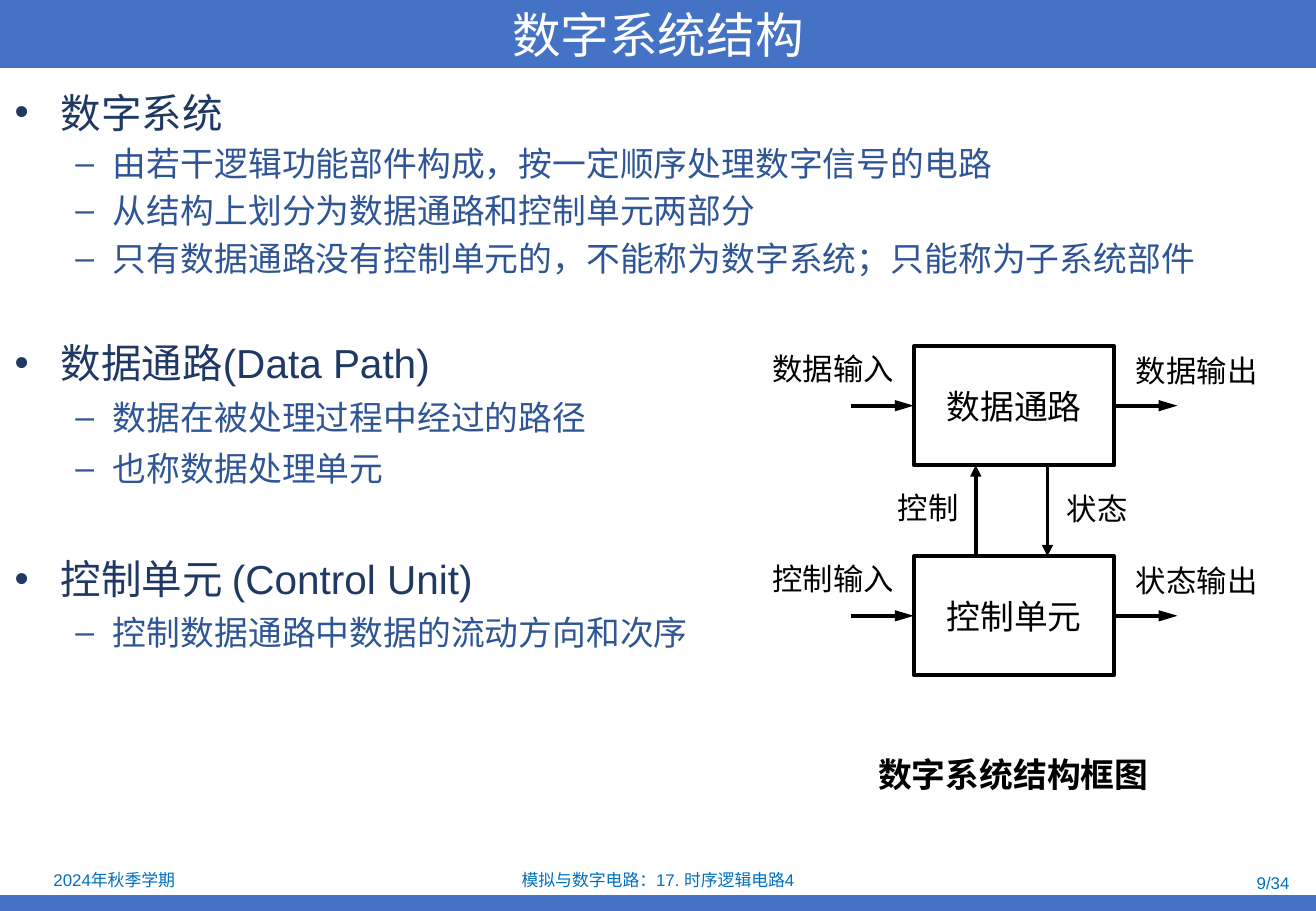
from lxml import etree
from pptx import Presentation
from pptx.dml.color import RGBColor
from pptx.enum.shapes import MSO_CONNECTOR, MSO_SHAPE
from pptx.enum.text import MSO_ANCHOR, MSO_AUTO_SIZE, PP_ALIGN
from pptx.oxml.ns import qn
from pptx.util import Inches, Pt

LEFT, CENTER, RIGHT = PP_ALIGN.LEFT, PP_ALIGN.CENTER, PP_ALIGN.RIGHT
TOP, MIDDLE = MSO_ANCHOR.TOP, MSO_ANCHOR.MIDDLE
STRAIGHT, RECTANGLE = MSO_CONNECTOR.STRAIGHT, MSO_SHAPE.RECTANGLE
NO_AUTOFIT = MSO_AUTO_SIZE.NONE

COLORS = {"bar": "4472C4", "title": "FFFFFF", "topic": "203864",
          "point": "2F5597", "footer": "0070C0", "ink": "000000"}
SANS, SERIF, CJK = "Arial", "Times New Roman", "Noto Sans CJK SC"
SLIDE_W, SLIDE_H = 10.83, 7.5

# Each topic: heading, space before it, space before its points, points
TOPICS = [
    ("数字系统", 0, 4, ["由若干逻辑功能部件构成，按一定顺序处理数字信号的电路",
                    "从结构上划分为数据通路和控制单元两部分",
                    "只有数据通路没有控制单元的，不能称为数字系统；只能称为子系统部件"]),
    ("数据通路(Data Path)", 33.5, 6, ["数据在被处理过程中经过的路径", "也称数据处理单元"]),
    ("控制单元 (Control Unit)", 37, 5.5, ["控制数据通路中数据的流动方向和次序"]),
]
# Per level: size, line height, colour, left margin, hanging indent, bullet
LEVELS = [(24, 31, "topic", 0.38, 0.38, "•"), (20, 24, "point", 0.81, 0.31, "–")]


def rgb(name):
    return RGBColor.from_string(COLORS[name])


def inches(*values):
    return [Inches(value) for value in values]


def write(paragraph, text, size=18, color="ink", font=SERIF, bold=False, align=LEFT):
    paragraph.alignment = align
    run = paragraph.add_run()
    run.text = text
    run.font.name, run.font.size, run.font.bold = font, Pt(size), bold
    run.font.color.rgb = rgb(color)
    etree.SubElement(run._r.get_or_add_rPr(), qn("a:ea")).set("typeface", CJK)


def set_frame(frame, anchor=TOP, wrap=True, inset=None):
    frame.auto_size, frame.word_wrap = NO_AUTOFIT, wrap
    frame.vertical_anchor = anchor
    if inset is not None:
        frame.margin_left = frame.margin_right = Inches(inset)
        frame.margin_top = frame.margin_bottom = Inches(inset)


def place(part, box):
    part.left, part.top, part.width, part.height = inches(*box)


def add_label(slide, box, text, anchor=TOP, wrap=False, **style):
    frame = slide.shapes.add_textbox(*inches(*box)).text_frame
    set_frame(frame, anchor, wrap)
    write(frame.paragraphs[0], text, **style)


def add_title(slide, box):
    title = slide.shapes.title
    place(title, box)
    title.fill.solid()
    title.fill.fore_color.rgb = rgb("bar")
    set_frame(title.text_frame, MIDDLE, inset=0)
    write(title.text_frame.paragraphs[0], "数字系统结构", size=28.8,
          color="title", font=CJK, align=CENTER)


def add_item(paragraph, text, level, before):
    size, height, color, margin, hanging, bullet = LEVELS[level]
    paragraph.level = level
    paragraph.space_before, paragraph.space_after = Pt(before), Pt(0)
    paragraph.line_spacing = Pt(height)
    props = paragraph._p.get_or_add_pPr()
    props.set("marL", str(Inches(margin)))
    props.set("indent", str(-Inches(hanging)))
    etree.SubElement(props, qn("a:buFont")).set("typeface", SANS)
    etree.SubElement(props, qn("a:buChar")).set("char", bullet)
    write(paragraph, text, size=size, color=color, font=SANS)


def add_outline(slide, box):
    body = slide.placeholders[1]
    place(body, box)
    frame = body.text_frame
    set_frame(frame)
    items = []
    for heading, heading_gap, point_gap, points in TOPICS:
        items.append((heading, 0, heading_gap))
        items += [(point, 1, point_gap) for point in points]
    for index, item in enumerate(items):
        paragraph = frame.add_paragraph() if index else frame.paragraphs[0]
        add_item(paragraph, *item)


def add_footer(slide, box):
    left, top, width, height = box
    bar = slide.shapes.add_shape(RECTANGLE, *inches(left, top + 0.24, width, height - 0.24))
    bar.shadow.inherit = False
    bar.fill.solid()
    bar.fill.fore_color.rgb = rgb("bar")
    bar.line.fill.background()
    for x, y, w, text, align in [
            (0.02, 0.01, 1.84, "2024年秋季学期", CENTER),
            (3.7, 0.01, 3.43, "模拟与数字电路：17. 时序逻辑电路4", CENTER),
            (8.18, 0.03, 2.53, "9/34", RIGHT)]:
        add_label(slide, (left + x, top + y, w, 0.21), text, MIDDLE, True,
                  size=10, color="footer", font=SANS, align=align)


def add_arrow(slide, start, end, head_length="med"):
    arrow = slide.shapes.add_connector(STRAIGHT, *inches(*start, *end))
    arrow.line.color.rgb, arrow.line.width = rgb("ink"), Pt(2.25)
    head = etree.SubElement(arrow.line._get_or_add_ln(), qn("a:tailEnd"))
    for key, value in (("type", "triangle"), ("w", "med"), ("len", head_length)):
        head.set(key, value)
    etree.SubElement(arrow._element.spPr, qn("a:effectLst"))
    return arrow


def add_unit(slide, box, name, input_text, output_text):
    left, top, width, height = box
    unit = slide.shapes.add_shape(RECTANGLE, *inches(*box))
    unit.shadow.inherit = False
    unit.fill.background()
    unit.line.color.rgb, unit.line.width = rgb("ink"), Pt(2.25)
    set_frame(unit.text_frame, MIDDLE, False, 0)
    write(unit.text_frame.paragraphs[0], name, size=20, align=CENTER)

    # Input and output arrows meet the middle of the sides
    middle, right, reach = top + height / 2, left + width, 0.52
    data_in = add_arrow(slide, (left - reach, middle), (left, middle), "lg")
    data_in.end_connect(unit, 1)
    data_out = add_arrow(slide, (right, middle), (right + reach, middle), "lg")
    data_out.begin_connect(unit, 3)
    add_label(slide, (left - 1.26, top - 0.02, 1.2, 0.4), input_text)
    add_label(slide, (right + 0.08, top, 1.2, 0.4), output_text)


def add_diagram(slide, box):
    left, top, width, height = box
    unit_left, unit_w, unit_h = left + 1.26, 1.65, 0.98
    path_bottom, control_top = top + unit_h, top + 1.73
    add_unit(slide, (unit_left, top, unit_w, unit_h), "数据通路", "数据输入", "数据输出")
    add_unit(slide, (unit_left, control_top, unit_w, unit_h),
             "控制单元", "控制输入", "状态输出")

    # Control goes up, status comes down
    control_x, status_x = unit_left + 0.51, unit_left + 1.1
    add_arrow(slide, (control_x, control_top), (control_x, path_bottom))
    add_arrow(slide, (status_x, path_bottom), (status_x, control_top))
    add_label(slide, (control_x - 0.74, path_bottom + 0.15, 0.7, 0.4), "控制")
    add_label(slide, (status_x + 0.06, path_bottom + 0.16, 0.7, 0.4), "状态")

    # Caption
    add_label(slide, (left + (width - 2.44) / 2, top + height - 0.43, 2.44, 0.43),
              "数字系统结构框图", size=20, font=CJK, bold=True, align=CENTER)


def main():
    deck = Presentation()
    deck.slide_width, deck.slide_height = inches(SLIDE_W, SLIDE_H)
    slide = deck.slides.add_slide(deck.slide_layouts[1])
    add_title(slide, (0, 0, SLIDE_W, 0.56))
    add_outline(slide, (0.02, 0.64, 10.81, 6.5))
    add_footer(slide, (0, 7.13, SLIDE_W, 0.37))
    add_diagram(slide, (6.26, 2.85, 4.16, 3.74))
    deck.save("out.pptx")


if __name__ == "__main__":
    main()
